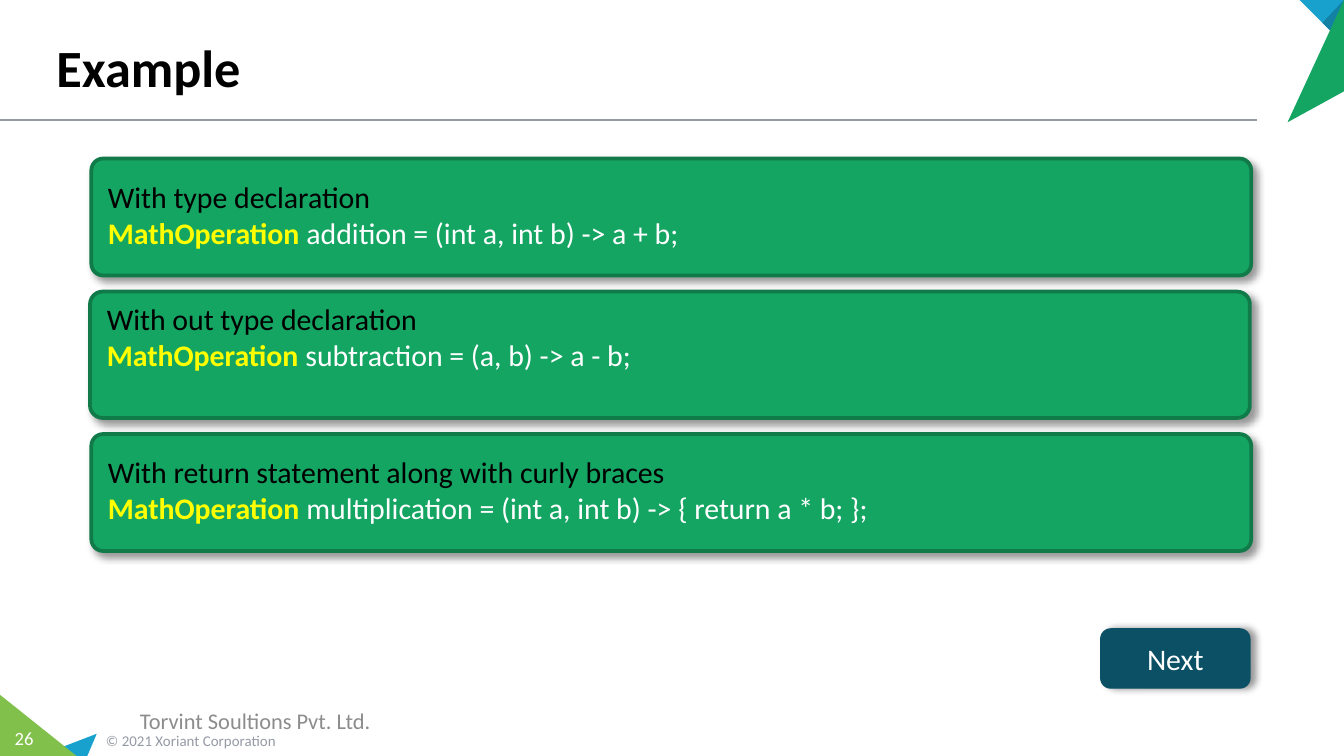
from lxml.etree import SubElement
from pptx import Presentation
from pptx.dml.color import RGBColor
from pptx.enum.shapes import MSO_CONNECTOR, MSO_SHAPE
from pptx.enum.text import MSO_ANCHOR, PP_ALIGN
from pptx.oxml.ns import qn
from pptx.util import Inches, Pt

COLORS = {
    "green": "15A563", "dark green": "107A49", "lime": "81C14B",
    "blue": "17A1CC", "dark blue": "1281A3", "petrol": "0C5066",
    "gray": "959AA5", "footer": "8C8C8C", "yellow": "FFFF00",
    "black": "000000", "white": "FFFFFF",
}
WIDTH = 10
HEIGHT = WIDTH * 9 / 16


def color(name):
    return RGBColor.from_string(COLORS[name])


class SlideBuilder:
    font_name = "Calibri"

    def __init__(self, slide):
        self.slide = slide

    def style(self, paragraph, size, color_name, bold=False, align=PP_ALIGN.LEFT):
        paragraph.alignment = align
        font = paragraph.font
        font.name, font.size, font.bold = self.font_name, Pt(size), bold
        font.color.rgb = color(color_name)

    def title(self, text, box):
        title = self.slide.shapes.title
        title.left, title.top, title.width, title.height = map(Inches, box)
        title.text_frame.vertical_anchor = MSO_ANCHOR.BOTTOM
        title.text_frame.text = text
        self.style(title.text_frame.paragraphs[0], 28, "black", bold=True)

    def text(self, text, box, size, color_name, align=PP_ALIGN.LEFT, side_margin=0.1):
        frame = self.slide.shapes.add_textbox(*map(Inches, box)).text_frame
        frame.word_wrap = True
        frame.vertical_anchor = MSO_ANCHOR.MIDDLE
        frame.margin_left = frame.margin_right = Inches(side_margin)
        frame.text = text
        self.style(frame.paragraphs[0], size, color_name, align=align)

    def rule(self, start, end):
        line = self.slide.shapes.add_connector(
            MSO_CONNECTOR.STRAIGHT, *map(Inches, start + end))
        line.line.color.rgb = color("gray")
        line.line.width = Pt(1)
        SubElement(line._element.spPr, qn("a:effectLst"))

    def triangle(self, points, fill):
        first, *others = [(Inches(x), Inches(y)) for x, y in points]
        builder = self.slide.shapes.build_freeform(*first)
        builder.add_line_segments(others, close=True)
        shape = builder.convert_to_shape()
        shape.shadow.inherit = False
        shape.fill.solid()
        shape.fill.fore_color.rgb = color(fill)
        shape.line.fill.background()

    def panel(self, box, fill, line, line_width, corner, shadow_angle):
        shape = self.slide.shapes.add_shape(
            MSO_SHAPE.ROUNDED_RECTANGLE, *map(Inches, box))
        shape.adjustments[0] = corner
        shape.fill.solid()
        shape.fill.fore_color.rgb = color(fill)
        shape.line.color.rgb = color(line)
        shape.line.width = Pt(line_width)
        self.drop_shadow(shape, shadow_angle)
        shape.text_frame.word_wrap = True
        shape.text_frame.vertical_anchor = MSO_ANCHOR.MIDDLE
        return shape

    def drop_shadow(self, shape, angle):
        shape.shadow.inherit = False
        effects = shape._element.spPr.find(qn("a:effectLst"))
        shadow = SubElement(
            effects, qn("a:outerShdw"), blurRad=str(Pt(4)), dist=str(Pt(3)),
            dir=str(angle * 60000), algn="tl", rotWithShape="0")
        shade = SubElement(shadow, qn("a:srgbClr"), val=COLORS["black"])
        SubElement(shade, qn("a:alpha"), val="40000")

    def code_panel(self, box, heading, code, bottom_margin):
        corner = round(0.09 / box[3], 2)
        shape = self.panel(box, "green", "dark green", 2, corner, 45)
        frame = shape.text_frame
        frame.margin_bottom = Inches(bottom_margin)
        frame.text = heading
        self.style(frame.paragraphs[0], 16, "black")
        paragraph = frame.add_paragraph()
        self.style(paragraph, 16, "white")
        type_name = paragraph.add_run()
        type_name.text = "MathOperation "
        type_name.font.bold = True
        type_name.font.color.rgb = color("yellow")
        paragraph.add_run().text = code

    def button(self, text, box):
        shape = self.panel(box, "petrol", "petrol", 0.75, 0.17, 0)
        shape.text_frame.text = text
        self.style(shape.text_frame.paragraphs[0], 16, "white", align=PP_ALIGN.CENTER)


def main():
    presentation = Presentation()
    presentation.slide_width, presentation.slide_height = Inches(WIDTH), Inches(HEIGHT)
    slide = presentation.slides.add_slide(presentation.slide_layouts[5])
    builder = SlideBuilder(slide)

    # Title and rule
    builder.title("Example", (0.32, 0.06, 9, 0.72))
    builder.rule((0, 0.89), (9.35, 0.89))

    # Corner triangles
    for points, fill in [
        ([(0.72, 5.46), (0.65, HEIGHT), (0.29, HEIGHT)], "blue"),
        ([(0, 5.17), (0.57, HEIGHT), (0, HEIGHT)], "lime"),
        ([(9.67, 0), (WIDTH, 0), (WIDTH, 0.33)], "blue"),
        ([(9.84, 0.17), (WIDTH, 0), (WIDTH, 0.33)], "dark blue"),
        ([(9.58, 0.91), (WIDTH, 0), (WIDTH, 0.68)], "green"),
    ]:
        builder.triangle(points, fill)

    # Footer
    builder.text("© 2021 Xoriant Corporation", (0.69, 5.39, 2.33, 0.24), 8, "gray")
    builder.text("26", (0, 5.36, 0.36, 0.27), 10, "white", PP_ALIGN.CENTER, 0)
    builder.text("Torvint Soultions Pvt. Ltd.", (0, 5.21, 3.8, 0.3), 12, "footer",
                 PP_ALIGN.CENTER)

    # Lambda examples
    for box, heading, code, bottom_margin in [
        ((0.67, 2.17, 8.63, 0.94), "With out type declaration",
         "subtraction = (a, b) -> a - b;", 0.32),
        ((0.68, 3.23, 8.63, 0.87), "With return statement along with curly braces",
         "multiplication = (int a, int b) -> { return a * b; };", 0.09),
        ((0.68, 1.18, 8.63, 0.87), "With type declaration",
         "addition = (int a, int b) -> a + b;", 0.09),
    ]:
        builder.code_panel(box, heading, code, bottom_margin)

    # Navigation button
    builder.button("Next", (8.19, 4.68, 1.11, 0.44))

    presentation.save("out.pptx")


if __name__ == "__main__":
    main()
